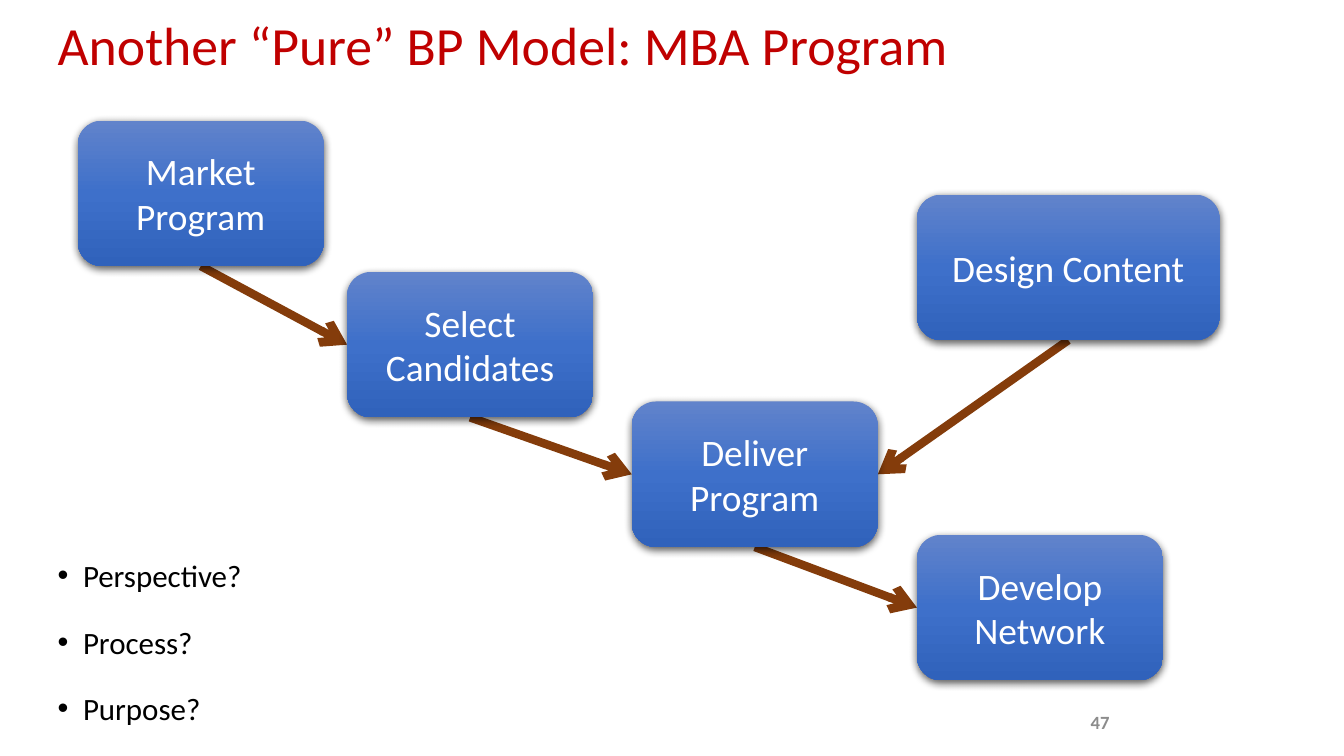
from dataclasses import dataclass

from lxml.etree import SubElement
from pptx import Presentation
from pptx.dml.color import RGBColor as Rgb
from pptx.enum.shapes import MSO_CONNECTOR as Link, MSO_SHAPE as Kind
from pptx.enum.text import MSO_ANCHOR as Anchor, PP_ALIGN as Align
from pptx.oxml import parse_xml
from pptx.oxml.ns import nsdecls, qn
from pptx.util import Cm, Pt


@dataclass(frozen=True)
class Theme:
    font: str = "Calibri"
    title: str = "C00000"
    body: str = "000000"
    page: str = "8C8C8C"
    label: str = "FFFFFF"
    arrow: str = "843C0B"
    grad: tuple = ((0, "6183CB"), (50, "3E70CA"), (100, "3062BB"))
    title_size: float = 28.8
    body_size: float = 16.6
    page_size: float = 10
    label_size: float = 20
    arrow_width: float = 4.5


THEME = Theme()
BOTTOM, LEFT, RIGHT = 2, 1, 3  # connection sites of a rounded box
WIDE, HIGH = 4.65, 2.75
STEPS = {
    "Market Program": (1.47, 2.28, WIDE, HIGH),
    "Select Candidates": (6.56, 5.14, WIDE, HIGH),
    "Deliver Program": (11.94, 7.59, WIDE, HIGH),
    "Develop Network": (17.33, 10.11, WIDE, HIGH),
    "Design Content": (17.33, 3.68, 5.72, HIGH),
}
FLOWS = (
    ("Market Program", "Select Candidates", LEFT),
    ("Select Candidates", "Deliver Program", LEFT),
    ("Deliver Program", "Develop Network", LEFT),
    ("Design Content", "Deliver Program", RIGHT),
)


def style(para, size, color, bold=False):
    for run in para.runs:
        font = run.font
        font.name, font.size, font.bold = THEME.font, Pt(size), bold
        font.color.rgb = Rgb.from_string(color)


def add_text(slide, box, text, anchor=Anchor.TOP):
    frame = slide.shapes.add_textbox(*map(Cm, box)).text_frame
    frame.word_wrap = True
    frame.vertical_anchor = anchor
    frame.text = text
    return frame


def add_title(slide, box, text):
    para = add_text(slide, box, text, Anchor.MIDDLE).paragraphs[0]
    para.line_spacing = 0.9
    style(para, THEME.title_size, THEME.title)


def add_list(slide, box, items):
    for para in add_text(slide, box, "\n".join(items)).paragraphs:
        para.line_spacing = 0.8
        para.space_before, para.space_after = Pt(7.5), Pt(12)
        props = para._p.get_or_add_pPr()
        props.set("marL", str(Cm(0.48)))
        props.set("indent", str(Cm(-0.48)))
        SubElement(props, qn("a:buFont"), typeface="Arial")
        SubElement(props, qn("a:buChar"), char="•")
        style(para, THEME.body_size, THEME.body)


def add_page(slide, box, number):
    frame = add_text(slide, box, number, Anchor.BOTTOM)
    frame.margin_left = frame.margin_right = Cm(0.13)
    para = frame.paragraphs[0]
    para.alignment = Align.CENTER
    style(para, THEME.page_size, THEME.page, bold=True)


def shade(shape):
    """Give the shape a three-stop vertical gradient and a soft shadow."""
    shape.fill.gradient()
    shape.fill.gradient_angle = 270
    stops = shape.element.spPr.find(qn("a:gradFill")).find(qn("a:gsLst"))
    for stop in list(stops):
        stops.remove(stop)
    for place, color in THEME.grad:
        stop = SubElement(stops, qn("a:gs"), pos=str(place * 1000))
        SubElement(stop, qn("a:srgbClr"), val=color)
    shape.element.spPr.append(parse_xml(
        f'<a:effectLst {nsdecls("a")}>'
        f'<a:outerShdw blurRad="{Pt(4.5)}" dist="{Pt(1.5)}" dir="5400000" '
        'algn="ctr" rotWithShape="0"><a:srgbClr val="000000">'
        '<a:alpha val="63000"/></a:srgbClr></a:outerShdw></a:effectLst>'))


def add_step(slide, box, text):
    step = slide.shapes.add_shape(Kind.ROUNDED_RECTANGLE, *map(Cm, box))
    step.line.fill.background()
    shade(step)
    frame = step.text_frame
    frame.word_wrap = True
    frame.vertical_anchor = Anchor.MIDDLE
    frame.text = text
    para = frame.paragraphs[0]
    para.alignment = Align.CENTER
    style(para, THEME.label_size, THEME.label)
    return step


def add_arrow(slide, start, end, side):
    arrow = slide.shapes.add_connector(Link.STRAIGHT, 0, 0, 0, 0)
    arrow.begin_connect(start, BOTTOM)
    arrow.end_connect(end, side)
    arrow.line.color.rgb = Rgb.from_string(THEME.arrow)
    arrow.line.width = Pt(THEME.arrow_width)
    SubElement(arrow.line._get_or_add_ln(), qn("a:tailEnd"), type="arrow")
    SubElement(arrow.element.spPr, qn("a:effectLst"))
    return arrow


def add_flow(slide, steps, flows):
    """Draw the steps, with the arrows between them lying behind."""
    nodes = {text: add_step(slide, box, text) for text, box in steps.items()}
    back = next(iter(nodes.values())).element
    for start, end, side in flows:
        arrow = add_arrow(slide, nodes[start], nodes[end], side)
        back.addprevious(arrow.element)


def main():
    deck = Presentation()
    deck.slide_width, deck.slide_height = Cm(25.4), Cm(14.29)
    slide = deck.slides.add_slide(deck.slide_layouts[6])
    add_title(slide, (0.84, 0.23, 24.33, 1.35),
              "Another “Pure” BP Model: MBA Program")
    add_list(slide, (0.84, 10.54, 9.09, 3.58),
             ("Perspective?", "Process?", "Purpose?"))
    add_page(slide, (17.93, 13.23, 5.72, 0.76), "47")
    add_flow(slide, STEPS, FLOWS)
    deck.save("out.pptx")


if __name__ == "__main__":
    main()
